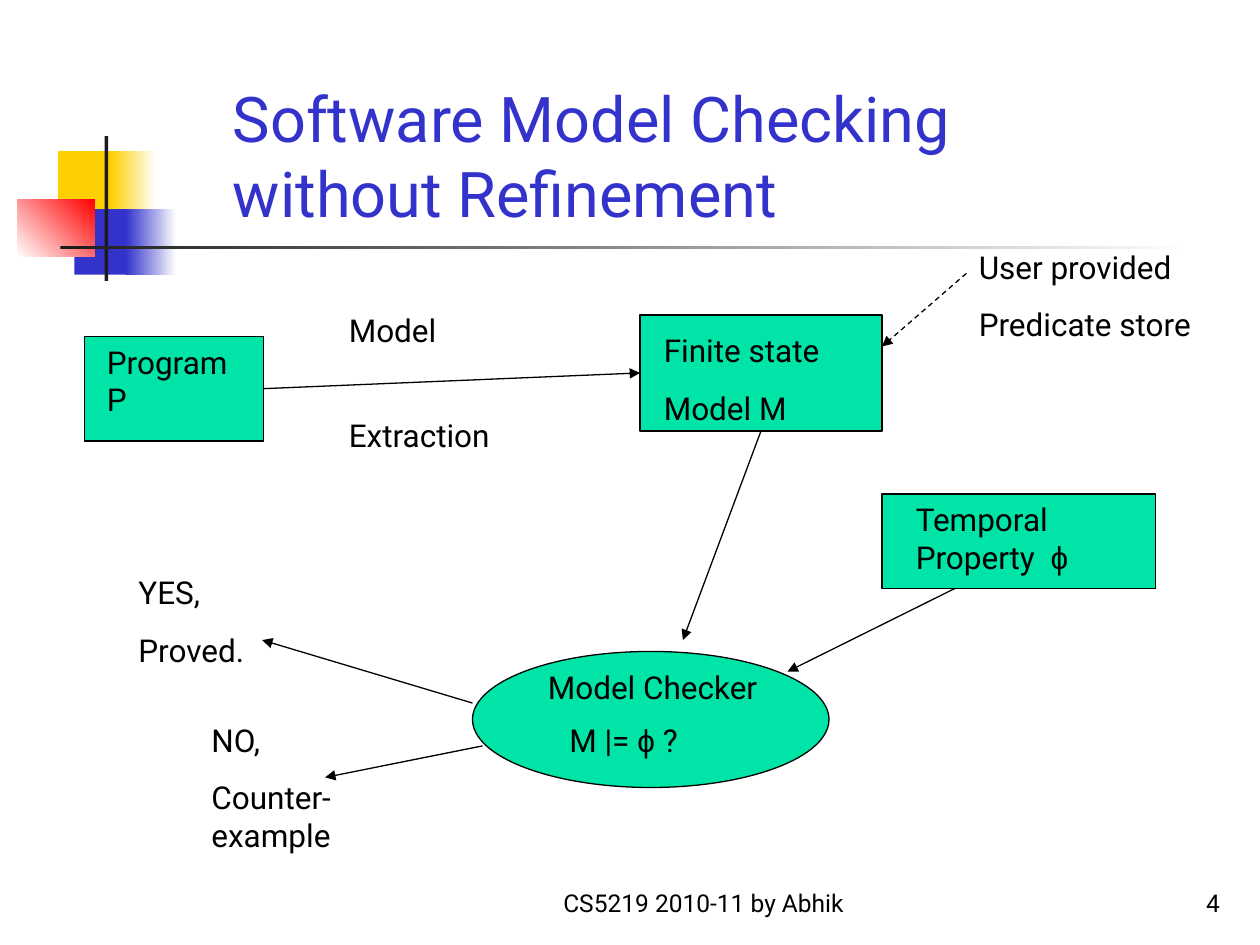
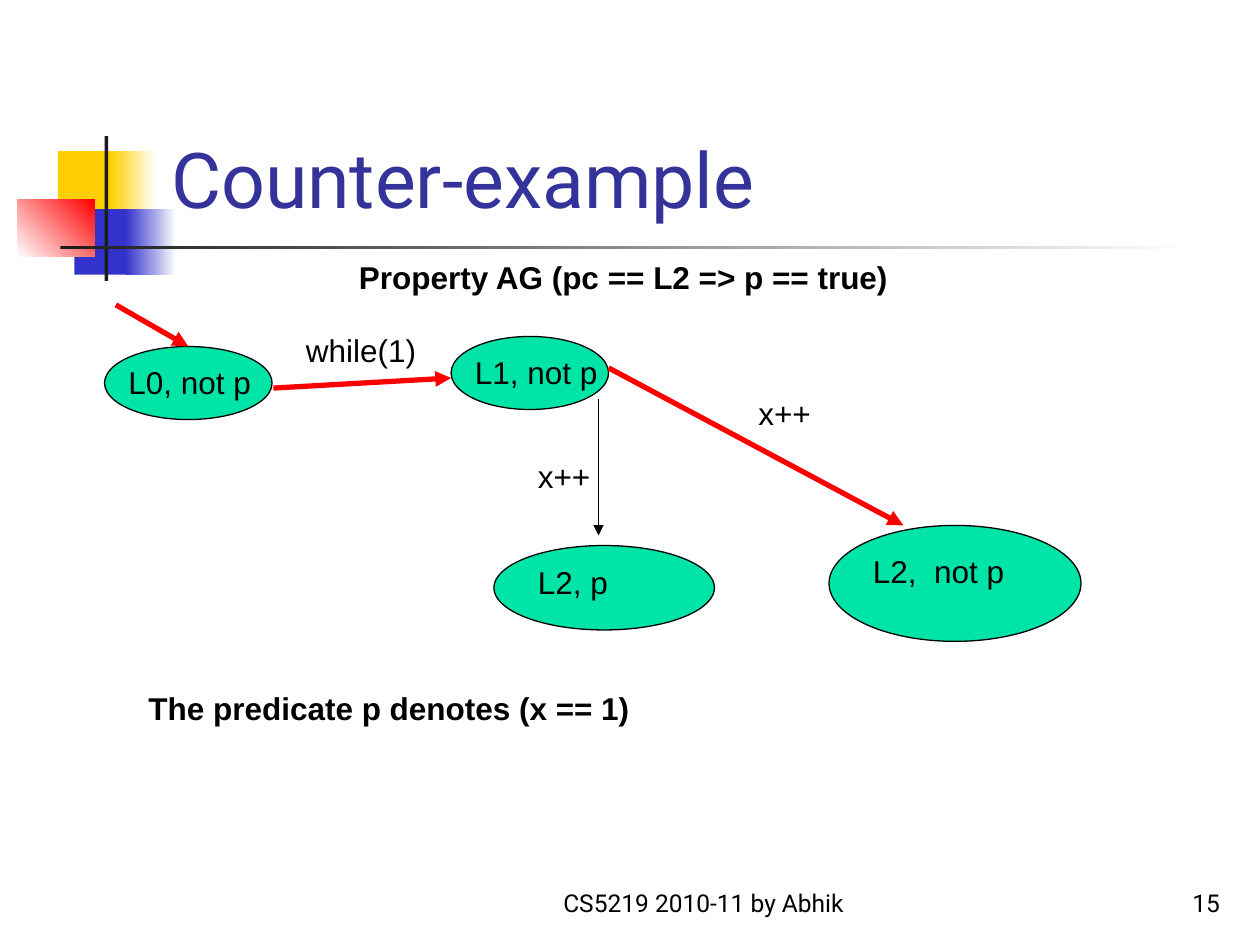
from dataclasses import dataclass
from itertools import groupby

from lxml.etree import SubElement
from pptx import Presentation
from pptx.dml.color import RGBColor
from pptx.enum.dml import MSO_LINE
from pptx.enum.shapes import MSO_CONNECTOR, MSO_SHAPE
from pptx.enum.text import MSO_ANCHOR, PP_ALIGN
from pptx.oxml.ns import qn
from pptx.util import Inches, Pt


@dataclass(frozen=True)
class Theme:
    black: str = "000000"
    white: str = "FFFFFF"
    blue: str = "3333CC"
    navy: str = "333399"
    yellow: str = "FFCF01"
    red: str = "FF0000"
    charcoal: str = "1C1C1C"
    green: str = "00E4A8"
    sans: str = "Roboto"
    plain: str = "Arial"
    title: int = 44
    long_title: int = 36
    body: int = 18
    footer: int = 14
    paragraph_gap: float = 11.2
    thin: float = 0.75
    thick: float = 3


class Deck:
    """Draws styled elements on the current slide."""

    def __init__(self, theme):
        self.theme = theme
        self.presentation = Presentation()
        self.presentation.slide_width = Inches(10)
        self.presentation.slide_height = Inches(7.5)
        self.slide = None

    def add_slide(self, number):
        self.slide = self.presentation.slides.add_slide(self.presentation.slide_layouts[6])
        self.decorate()
        footer = dict(size=self.theme.footer, anchor=MSO_ANCHOR.BOTTOM)
        self.text("CS5219 2010-11 by Abhik", 4, 6.83, 3.17, 0.5, align=PP_ALIGN.CENTER, **footer)
        self.text(str(number), 7.7, 6.83, 2.08, 0.5, align=PP_ALIGN.RIGHT, **footer)

    def decorate(self):
        t = self.theme
        self.block(0.46, 1.2, 0.48, 0.52, t.yellow)
        self.block(0.88, 1.2, 0.36, 0.52, t.yellow, t.white)
        self.block(0.59, 1.66, 0.46, 0.52, t.blue)
        self.block(1, 1.66, 0.4, 0.52, t.blue, t.white)
        self.block(0.14, 1.58, 0.61, 0.46, t.white, t.red, angle=45)
        self.block(0.83, 1.08, 0.03, 1.15, t.charcoal)
        self.block(0.48, 1.95, 9, 0.03, t.charcoal, t.white)

    def shape(self, kind, left, top, width, height):
        shape = self.slide.shapes.add_shape(
            kind, Inches(left), Inches(top), Inches(width), Inches(height))
        shape.shadow.inherit = False
        return shape

    def block(self, left, top, width, height, color, fade_to=None, angle=0):
        block = self.shape(MSO_SHAPE.RECTANGLE, left, top, width, height)
        block.line.fill.background()
        if fade_to is None:
            block.fill.solid()
            block.fill.fore_color.rgb = RGBColor.from_string(color)
            return
        block.fill.gradient()
        block.fill.gradient_angle = angle
        for stop, stop_color in zip(block.fill.gradient_stops, (color, fade_to)):
            stop.color.rgb = RGBColor.from_string(stop_color)

    def node(self, kind, left, top, width, height):
        node = self.shape(kind, left, top, width, height)
        node.fill.solid()
        node.fill.fore_color.rgb = RGBColor.from_string(self.theme.green)
        node.line.color.rgb = RGBColor.from_string(self.theme.black)
        node.line.width = Pt(self.theme.thin)
        return node

    def box(self, left, top, width, height):
        return self.node(MSO_SHAPE.RECTANGLE, left, top, width, height)

    def oval(self, left, top, width, height):
        return self.node(MSO_SHAPE.OVAL, left, top, width, height)

    def text(self, words, left, top, width, height=0.4, size=None, color=None, font=None,
             bold=False, align=PP_ALIGN.LEFT, anchor=MSO_ANCHOR.TOP):
        t = self.theme
        frame = self.slide.shapes.add_textbox(
            Inches(left), Inches(top), Inches(width), Inches(height)).text_frame
        frame.word_wrap = True
        frame.vertical_anchor = anchor
        for index, line in enumerate(words.split("\n")):
            paragraph = frame.add_paragraph() if index else frame.paragraphs[0]
            paragraph.alignment = align
            if index:
                paragraph.space_before = Pt(t.paragraph_gap)
            for is_phi, letters in groupby(line, lambda letter: letter == "ϕ"):
                run = paragraph.add_run()
                run.text = "".join(letters)
                run.font.name = t.plain if is_phi else font or t.sans
                run.font.size = Pt(size or t.body)
                run.font.bold = bold
                run.font.color.rgb = RGBColor.from_string(color or t.black)

    def arrow(self, start, end, color=None, width=None, dashed=False, source=None, target=None):
        arrow = self.slide.shapes.add_connector(
            MSO_CONNECTOR.STRAIGHT, *(Inches(value) for value in (*start, *end)))
        if source:
            arrow.begin_connect(*source)
        if target:
            arrow.end_connect(*target)
        arrow.line.color.rgb = RGBColor.from_string(color or self.theme.black)
        arrow.line.width = Pt(width or self.theme.thin)
        if dashed:
            arrow.line.dash_style = MSO_LINE.DASH
        SubElement(arrow.line._get_or_add_ln(), qn("a:tailEnd"), type="triangle")
        SubElement(arrow._element.spPr, qn("a:effectLst"))


def model_checking(deck):
    theme = deck.theme
    deck.add_slide(4)
    deck.text("Software Model Checking without Refinement", 1.75, 0.58, 6.67, 1.3,
              size=theme.long_title, color=theme.blue)

    deck.box(7, 3.92, 2.17, 0.75)
    program = deck.box(0.67, 2.67, 1.42, 0.83)
    finite_model = deck.box(5.08, 2.5, 1.92, 0.92)
    deck.oval(3.75, 5.17, 2.83, 1.08)

    deck.arrow((2.08, 3.08), (5.08, 3), source=(program, 3), target=(finite_model, 1))
    deck.arrow((6.08, 3.42), (5.42, 5.08), source=(finite_model, 2))
    deck.arrow((7.58, 4.67), (6.25, 5.33))
    deck.arrow((3.75, 5.58), (2.08, 5.08))
    deck.arrow((3.83, 5.92), (2.58, 6.17))
    deck.arrow((7.67, 2.17), (7, 2.75), dashed=True)

    deck.text("Program P", 0.75, 2.67, 1.17, 0.7)
    deck.text("Model", 2.67, 2.42, 1.67)
    deck.text("Extraction", 2.67, 3.25, 1.92)
    deck.text("Finite state\nModel M", 5.17, 2.58, 1.83, 0.86)
    deck.text("Model Checker", 4.25, 5.25, 2)
    deck.text("M |= ϕ ?", 4.42, 5.67, 1.83)
    deck.text("Temporal Property  ϕ", 7.17, 3.92, 2.17, 0.7)
    deck.text("YES,\nProved.", 1, 4.5, 1.08, 0.86)
    deck.text("NO,\nCounter-example", 1.58, 5.67, 1.83, 1.16)
    deck.text("User provided\nPredicate store", 7.67, 1.92, 2, 0.86)


def counter_example(deck):
    theme = deck.theme
    deck.add_slide(15)
    deck.text("Counter-example", 1.26, 0.23, 8.52, 1.6, size=theme.title, color=theme.navy,
              anchor=MSO_ANCHOR.BOTTOM)

    initial_state = deck.oval(0.83, 2.75, 1.33, 0.58)
    deck.oval(3.58, 2.67, 1.25, 0.58)
    deck.oval(3.92, 4.33, 1.75, 0.67)
    deck.oval(6.58, 4.17, 2, 0.92)

    error_trace = dict(color=theme.red, width=theme.thick)
    deck.arrow((0.92, 2.42), (1.5, 2.75), target=(initial_state, 0), **error_trace)
    deck.arrow((2.17, 3.08), (3.58, 3), **error_trace)
    deck.arrow((4.83, 2.92), (7.17, 4.17), **error_trace)
    deck.arrow((4.75, 3.17), (4.75, 4.25))

    for label, left, top, width in (
        ("L0, not p", 0.92, 2.83, 1.33),
        ("L1, not p", 3.67, 2.75, 1.67),
        ("L2, p", 4.17, 4.42, 1.33),
        ("L2,  not p", 6.83, 4.33, 1.67),
        ("while(1)", 2.33, 2.58, 1.25),
        ("x++", 4.17, 3.58, 1),
        ("x++", 5.92, 3.08, 2.17),
    ):
        deck.text(label, left, top, width, font=theme.plain)
    deck.text("Property AG (pc == L2 => p == true)", 2.75, 2, 7, font=theme.plain, bold=True)
    deck.text("The predicate p denotes (x == 1)", 1.08, 5.42, 8.17, font=theme.plain, bold=True)


def main():
    deck = Deck(Theme())
    model_checking(deck)
    counter_example(deck)
    deck.presentation.save("out.pptx")


if __name__ == "__main__":
    main()
